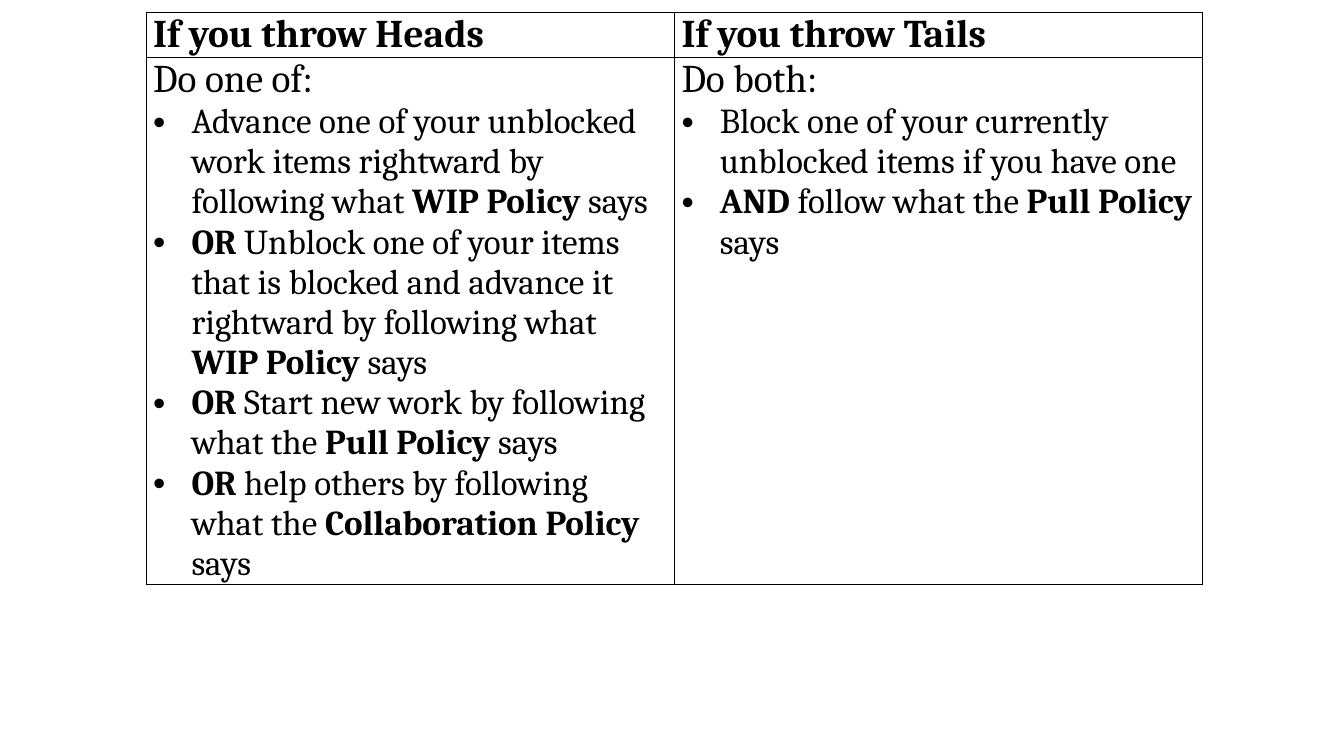
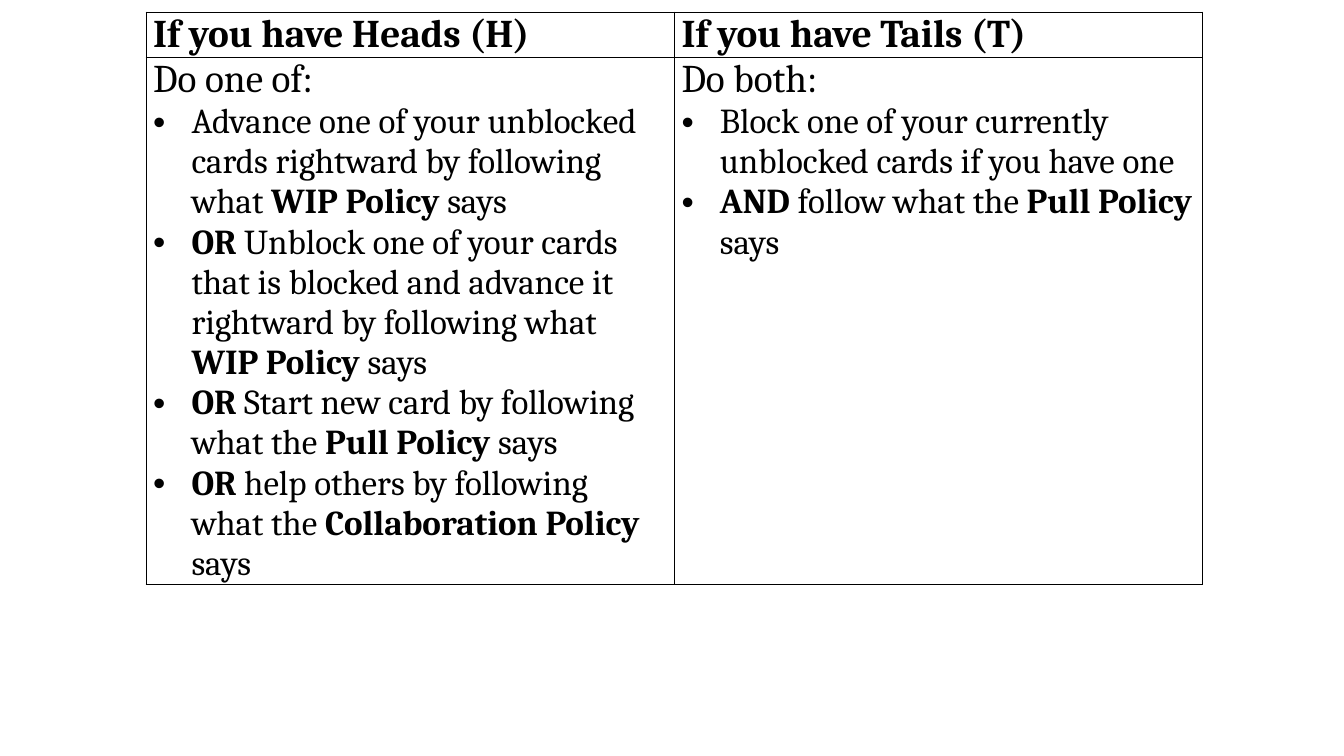
from lxml.etree import SubElement
from pptx import Presentation
from pptx.dml.color import RGBColor
from pptx.oxml import parse_xml
from pptx.oxml.ns import nsdecls, qn
from pptx.util import Inches, Pt

COLORS = {"ink": "000000", "paper": "FFFFFF"}
FONT = "Cambria"
HEADING = {"size": Pt(28), "bold": True}
LEAD = {"size": Pt(28), "bold": False}
BULLET = {"size": Pt(25), "bold": False}
CELL_FORMAT = {
    "margin_left": Inches(0.07),
    "margin_right": Inches(0.07),
    "margin_top": 0,
    "margin_bottom": 0,
}
LEFT, TOP = Inches(1.45), Inches(0.12)
COLUMN_WIDTH = Inches(5.24)
ROW_HEIGHTS = (Inches(0.37), Inches(3.69))
BULLET_INDENT = Inches(0.38)

# Each rule sheet: column headings, the words for a work item, and the first
# bullet's wording. Asterisks enclose bold words.
RULE_SHEETS = [
    {
        "headings": ("If you throw Heads", "If you throw Tails"),
        "advanced": "work items",
        "items": "items",
        "new": "work",
    },
    {
        "headings": ("If you have Heads (H)", "If you have Tails (T)"),
        "advanced": "cards",
        "items": "cards",
        "new": "card",
    },
]
HEADS_RULES = (
    "Do one of:",
    "Advance one of your unblocked {advanced} rightward by following what *WIP Policy* says",
    "*OR* Unblock one of your {items} that is blocked and advance it rightward"
    " by following what *WIP Policy* says",
    "*OR* Start new {new} by following what the *Pull Policy* says",
    "*OR* help others by following what the *Collaboration Policy* says",
)
TAILS_RULES = (
    "Do both:",
    "Block one of your currently unblocked {items} if you have one",
    "*AND* follow what the *Pull Policy* says",
)


def write_paragraph(para, text, style):
    """Write text into para; words between asterisks become bold."""
    for index, part in enumerate(text.split("*")):
        if not part:
            continue
        span = para.add_run()
        span.text = part
        span.font.name = FONT
        span.font.color.rgb = RGBColor.from_string(COLORS["ink"])
        for name, value in style.items():
            setattr(span.font, name, value)
        if index % 2:
            span.font.bold = True


def add_bullet(para):
    properties = para._p.get_or_add_pPr()
    properties.set("marL", str(BULLET_INDENT))
    properties.set("indent", str(-BULLET_INDENT))
    SubElement(properties, qn("a:buFont")).set("typeface", "Arial")
    SubElement(properties, qn("a:buChar")).set("char", "•")


def format_cell(cell):
    for name, value in CELL_FORMAT.items():
        setattr(cell, name, value)
    cell.fill.solid()
    cell.fill.fore_color.rgb = RGBColor.from_string(COLORS["paper"])
    properties = cell._tc.get_or_add_tcPr()
    # Borders must stand before the fill.
    for index, side in enumerate(("lnL", "lnR", "lnT", "lnB")):
        properties.insert(index, parse_xml(
            f'<a:{side} {nsdecls("a")} w="{Pt(1)}"><a:solidFill>'
            f'<a:srgbClr val="{COLORS["ink"]}"/></a:solidFill></a:{side}>'))


def write_rules(cell, rules, wording):
    lead, *bullets = rules
    write_paragraph(cell.text_frame.paragraphs[0], lead, LEAD)
    for bullet in bullets:
        para = cell.text_frame.add_paragraph()
        add_bullet(para)
        write_paragraph(para, bullet.format(**wording), BULLET)


def add_rule_table(page, sheet):
    table = page.shapes.add_table(
        2, 2, LEFT, TOP, 2 * COLUMN_WIDTH, sum(ROW_HEIGHTS)).table
    table.first_row = False
    table.horz_banding = False
    for row, height in zip(table.rows, ROW_HEIGHTS):
        row.height = height
    for column, rules in enumerate((HEADS_RULES, TAILS_RULES)):
        table.columns[column].width = COLUMN_WIDTH
        heading_cell, rules_cell = table.cell(0, column), table.cell(1, column)
        write_paragraph(heading_cell.text_frame.paragraphs[0],
                        sheet["headings"][column], HEADING)
        write_rules(rules_cell, rules, sheet)
        for cell in (heading_cell, rules_cell):
            format_cell(cell)


def main():
    deck = Presentation()
    deck.slide_width, deck.slide_height = Inches(13.33), Inches(7.5)
    blank_layout = deck.slide_layouts.get_by_name("Blank")
    for sheet in RULE_SHEETS:
        add_rule_table(deck.slides.add_slide(blank_layout), sheet)
    deck.save("out.pptx")


if __name__ == "__main__":
    main()
